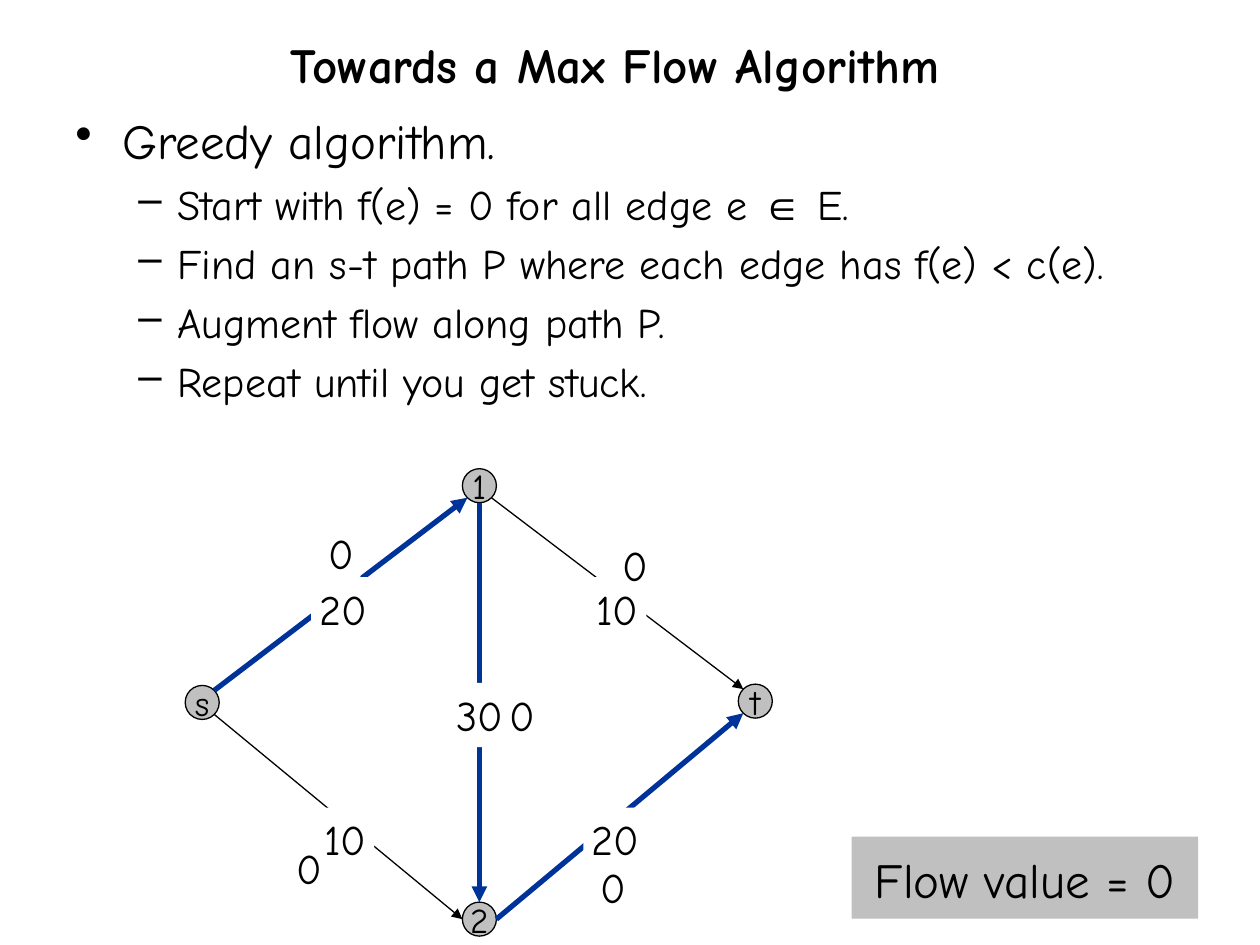
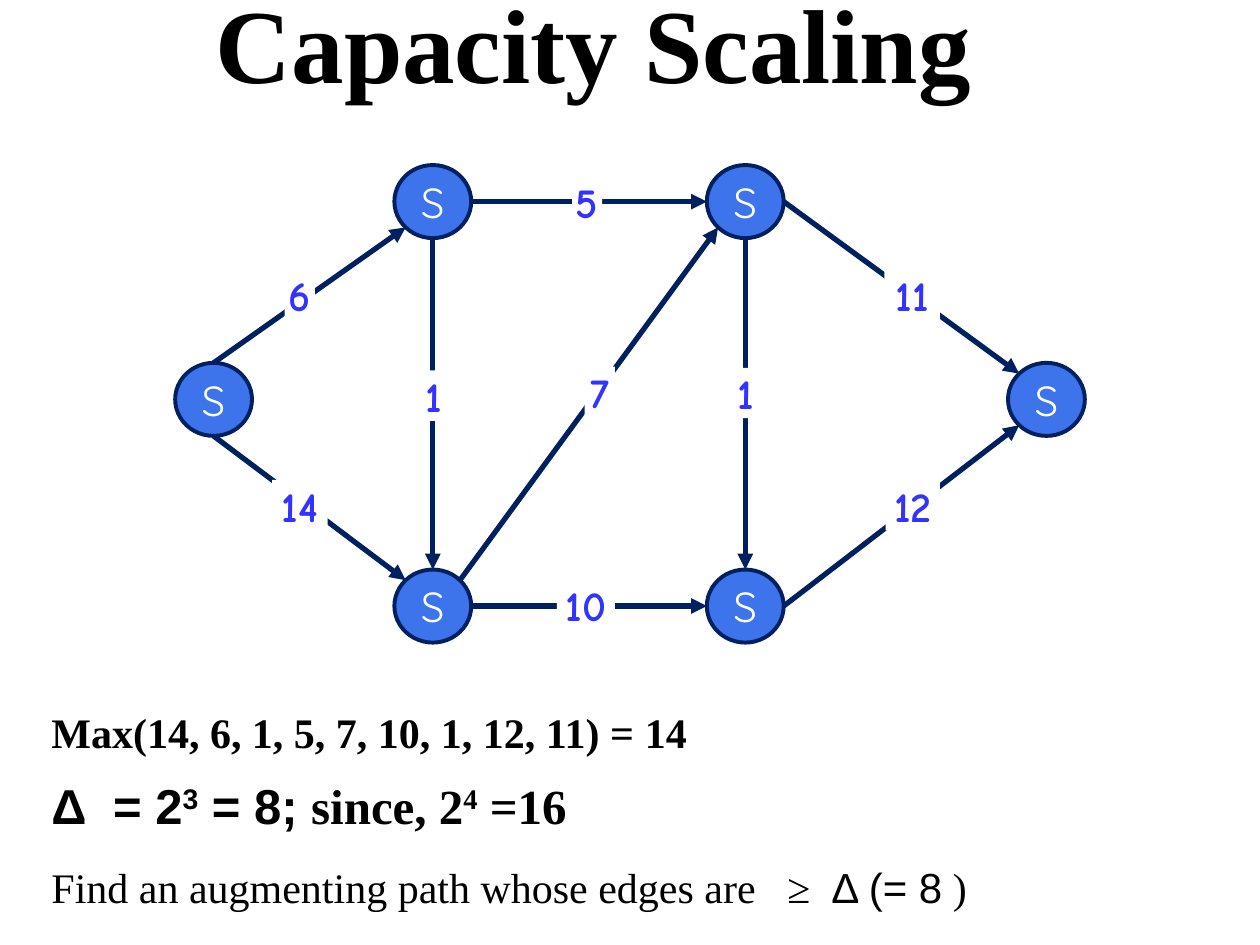
"""Build two slides on greedy max flow and capacity scaling."""
from lxml import etree
from pptx import Presentation
from pptx import util as u
from pptx.dml.color import RGBColor
from pptx.enum import shapes, text
from pptx.oxml import ns

BLACK = RGBColor(0x00, 0x00, 0x00)
WHITE = RGBColor(0xFF, 0xFF, 0xFF)
GREY = RGBColor(0xC0, 0xC0, 0xC0)
PATH_BLUE = RGBColor(0x00, 0x33, 0x99)
NAVY = RGBColor(0x00, 0x20, 0x60)
NODE_BLUE = RGBColor(0x3D, 0x73, 0xEB)
LABEL_BLUE = RGBColor(0x33, 0x33, 0xFF)

COMIC = "Comic Neue"
TIMES = "Times New Roman"
ARIAL = "Arial"
SANS = "Quicksand"

TITLE_ONLY = 5
DIAGONAL = 0.707
TOP, BOTTOM, LEFT, RIGHT = (0, -1), (0, 1), (-1, 0), (1, 0)
TOP_LEFT, TOP_RIGHT, BOTTOM_LEFT, BOTTOM_RIGHT = (-1, -1), (1, -1), (-1, 1), (1, 1)


def px(value):
    """Turn px (100 to the inch) into EMU."""
    return u.Emu(round(value * 9144))


def sub(parent, tag, **attributes):
    """Append a DrawingML element with attributes."""
    element = etree.SubElement(parent, ns.qn(tag))
    for name, value in attributes.items():
        element.set(name, str(value))
    return element


def site(node, direction):
    """Return the point of an ellipse that lies in a direction."""
    factor = DIAGONAL if all(direction) else 1
    horizontal, vertical = direction
    return (round(node.left + node.width / 2 * (1 + horizontal * factor)),
            round(node.top + node.height / 2 * (1 + vertical * factor)))


class Deck:
    """Holds the style and the current slide."""

    def __init__(self):
        """Start an empty presentation."""
        self.presentation = Presentation()
        self.presentation.slide_width = px(1000)
        self.presentation.slide_height = px(750)
        self.slide = None

    def add_slide(self, title, box, font, size):
        """Add a slide and format its title placeholder."""
        layout = self.presentation.slide_layouts[TITLE_ONLY]
        self.slide = self.presentation.slides.add_slide(layout)
        shape = self.slide.shapes.title
        shape.left, shape.top, shape.width, shape.height = map(px, box)
        self.frame(shape, text.MSO_ANCHOR.BOTTOM)
        self.add_runs(shape.text_frame.paragraphs[0], [(title, font)], size, bold=True,
                      align=text.PP_ALIGN.CENTER)

    def frame(self, shape, anchor, insets=(10, 5), wrap=True):
        """Set the anchor, insets and wrapping of a text frame."""
        frame = shape.text_frame
        frame.auto_size = text.MSO_AUTO_SIZE.NONE
        frame.word_wrap = wrap
        frame.vertical_anchor = anchor
        frame.margin_left = frame.margin_right = px(insets[0])
        frame.margin_top = frame.margin_bottom = px(insets[1])

    def add_runs(self, paragraph, pieces, size, color=BLACK, bold=False,
                 align=text.PP_ALIGN.LEFT):
        """Add pieces of (text, font, optional raise in percent)."""
        paragraph.alignment = align
        for words, font, *raised in pieces:
            run = paragraph.add_run()
            run.text = words
            run.font.name, run.font.size, run.font.bold = font, u.Pt(size), bold
            run.font.color.rgb = color
            if raised:
                run.font._element.set("baseline", str(raised[0] * 1000))

    def text_line(self, box, pieces, size, bold=False, tabs=()):
        """Add a bottom-anchored line of text with tab stops."""
        shape = self.slide.shapes.add_textbox(*map(px, box))
        self.frame(shape, text.MSO_ANCHOR.BOTTOM)
        paragraph = shape.text_frame.paragraphs[0]
        if tabs:
            tab_list = sub(paragraph._p.get_or_add_pPr(), "a:tabLst")
            for position in tabs:
                sub(tab_list, "a:tab", pos=px(position), algn="l")
        self.add_runs(paragraph, pieces, size, bold=bold)

    def bullets(self, box, items):
        """Add a list whose first item heads the dashed others."""
        shape = self.slide.shapes.add_textbox(*map(px, box))
        self.frame(shape, text.MSO_ANCHOR.TOP)
        for index, pieces in enumerate(items):
            if index:
                paragraph = shape.text_frame.add_paragraph()
                paragraph.level = 1
                paragraph.space_before = u.Pt(5)
                margin, hang, mark, size = 81, 31, "–", 24
            else:
                paragraph = shape.text_frame.paragraphs[0]
                margin, hang, mark, size = 37, 37, "•", 28
            properties = paragraph._p.get_or_add_pPr()
            properties.set("marL", str(px(margin)))
            properties.set("indent", str(px(-hang)))
            sub(sub(properties, "a:buClr"), "a:srgbClr", val=BLACK)
            sub(properties, "a:buChar", char=mark)
            self.add_runs(paragraph, pieces, size)

    def preset(self, kind, box, fill, line=None, weight=0):
        """Add a preset shape with a plain fill and optional outline."""
        shape = self.slide.shapes.add_shape(kind, *map(px, box))
        shape.shadow.inherit = False
        if fill is None:
            shape.fill.background()
        else:
            shape.fill.solid()
            shape.fill.fore_color.rgb = fill
        if line is None:
            shape.line.fill.background()
        else:
            shape.line.color.rgb = line
            shape.line.width = u.Pt(weight)
        return shape

    def node(self, name, box, fill, line, weight, font, size, color):
        """Add a named round node."""
        shape = self.preset(shapes.MSO_SHAPE.OVAL, box, fill, line, weight)
        self.frame(shape, text.MSO_ANCHOR.MIDDLE, (0, 0), wrap=False)
        self.add_runs(shape.text_frame.paragraphs[0], [(name, font)], size, color,
                      align=text.PP_ALIGN.CENTER)
        return shape

    def label(self, words, box, fill=WHITE, size=24, color=BLACK, bold=False,
              insets=(5, 5)):
        """Add a rectangle with centred text."""
        shape = self.preset(shapes.MSO_SHAPE.RECTANGLE, box, fill)
        self.frame(shape, text.MSO_ANCHOR.TOP, insets, wrap=False)
        self.add_runs(shape.text_frame.paragraphs[0], [(words, COMIC)], size, color,
                      bold, text.PP_ALIGN.CENTER)

    def edge(self, start, start_side, end, end_side, color, weight):
        """Add an arrow between two nodes."""
        connector = self.slide.shapes.add_connector(
            shapes.MSO_CONNECTOR.STRAIGHT, *site(start, start_side), *site(end, end_side))
        connector.line.color.rgb = color
        connector.line.width = u.Pt(weight)
        sub(connector.line._get_or_add_ln(), "a:tailEnd", type="triangle")
        sub(connector._element.spPr, "a:effectLst")


def greedy_slide(deck):
    """Build the greedy algorithm slide."""
    deck.add_slide("Towards a Max Flow Algorithm", (75, -100, 826, 179), COMIC, 28)
    deck.bullets((50, 83, 889, 272), [
        [("Greedy algorithm.", COMIC)],
        [("Start with f(e) = 0 for all edge e ", COMIC), ("∈", ARIAL), (" E.", COMIC)],
        [("Find an s-t path P where each edge has f(e) < c(e).", COMIC)],
        [("Augment flow along path P.", COMIC)],
        [("Repeat until you get stuck.", COMIC)],
    ])
    places = {"s": (147, 544), "1": (367, 372), "2": (367, 716), "t": (586, 543)}
    nodes = {name: deck.node(name, (*place, 27, 27), GREY, BLACK, 0.75, COMIC, 20, BLACK)
             for name, place in places.items()}
    for start, start_side, end, end_side, on_path in [
        ("s", BOTTOM_RIGHT, "2", LEFT, False),
        ("1", BOTTOM_RIGHT, "t", TOP_LEFT, False),
        ("s", TOP_RIGHT, "1", BOTTOM_LEFT, True),
        ("2", RIGHT, "t", BOTTOM_LEFT, True),
        ("1", BOTTOM, "2", TOP, True),
    ]:
        color, weight = (PATH_BLUE, 3) if on_path else (BLACK, 0.75)
        deck.edge(nodes[start], start_side, nodes[end], end_side, color, weight)
    for left, top in [(255, 414), (399, 542)]:
        deck.label("0", (left, top, 31, 51))
    for capacity, left, top, width in [
        ("10", 467, 458, 46), ("10", 251, 641, 46),
        ("20", 247, 458, 51), ("20", 463, 641, 51), ("30", 355, 542, 51),
    ]:
        deck.label(capacity, (left, top, width, 51))
    for left, top in [(489, 423), (230, 664), (471, 679)]:
        deck.label("0", (left, top, 31, 51), None)
    deck.label("Flow value = 0", (676, 664, 275, 65), GREY, 28, insets=(15, 10))


def scaling_slide(deck):
    """Build the capacity scaling slide."""
    deck.add_slide("Capacity Scaling", (40, 0, 862, 88), TIMES, 60)
    source, upper_left, lower_left, sink, upper_right, lower_right = [
        deck.node("S", (left, top, 61, 58), NODE_BLUE, NAVY, 2.25, SANS, 24, WHITE)
        for left, top in [(139, 288), (313, 131), (313, 452),
                          (800, 288), (561, 131), (561, 452)]]
    for ends in [
        (source, BOTTOM, lower_left, TOP_LEFT),
        (lower_left, RIGHT, lower_right, LEFT),
        (source, TOP, upper_left, BOTTOM_LEFT),
        (upper_left, BOTTOM, lower_left, TOP),
        (upper_left, RIGHT, upper_right, LEFT),
        (upper_right, BOTTOM, lower_right, TOP),
        (lower_right, RIGHT, sink, BOTTOM_LEFT),
        (upper_right, RIGHT, sink, TOP_LEFT),
        (lower_left, TOP_RIGHT, upper_right, BOTTOM_LEFT),
    ]:
        deck.edge(*ends, NAVY, 3)
    for capacity, left, top, width in [
        ("5", 454, 140, 24), ("10", 442, 460, 46), ("1", 332, 294, 24),
        ("1", 580, 292, 24), ("12", 703, 381, 43), ("11", 702, 214, 44),
        ("6", 226, 214, 24), ("14", 216, 381, 44), ("7", 464, 291, 24),
    ]:
        deck.label(capacity, (left, top, width, 40), color=LABEL_BLUE, bold=True,
                   insets=(0, 0))
    deck.text_line((31, 553, 494, 53), [("Max(14, 6, 1, 5, 7, 10, 1, 12, 11) =", TIMES)],
                   24, bold=True)
    deck.text_line((502, 553, 59, 53), [("14", TIMES)], 24, bold=True)
    deck.text_line((31, 614, 516, 53), [
        ("Δ\t= 2", ARIAL), ("3", ARIAL, 30), (" = 8; ", ARIAL),
        ("since, 2", TIMES), ("4", TIMES, 30), (" =16", TIMES),
    ], 28, bold=True, tabs=[49])
    deck.text_line((31, 676, 871, 53), [
        ("Find an augmenting path whose edges are\t≥\t", TIMES),
        ("Δ (= 8", ARIAL), (" )", TIMES),
    ], 24, tabs=[584, 619])


def main():
    """Build and save the presentation."""
    deck = Deck()
    greedy_slide(deck)
    scaling_slide(deck)
    deck.presentation.save("out.pptx")


if __name__ == "__main__":
    main()
